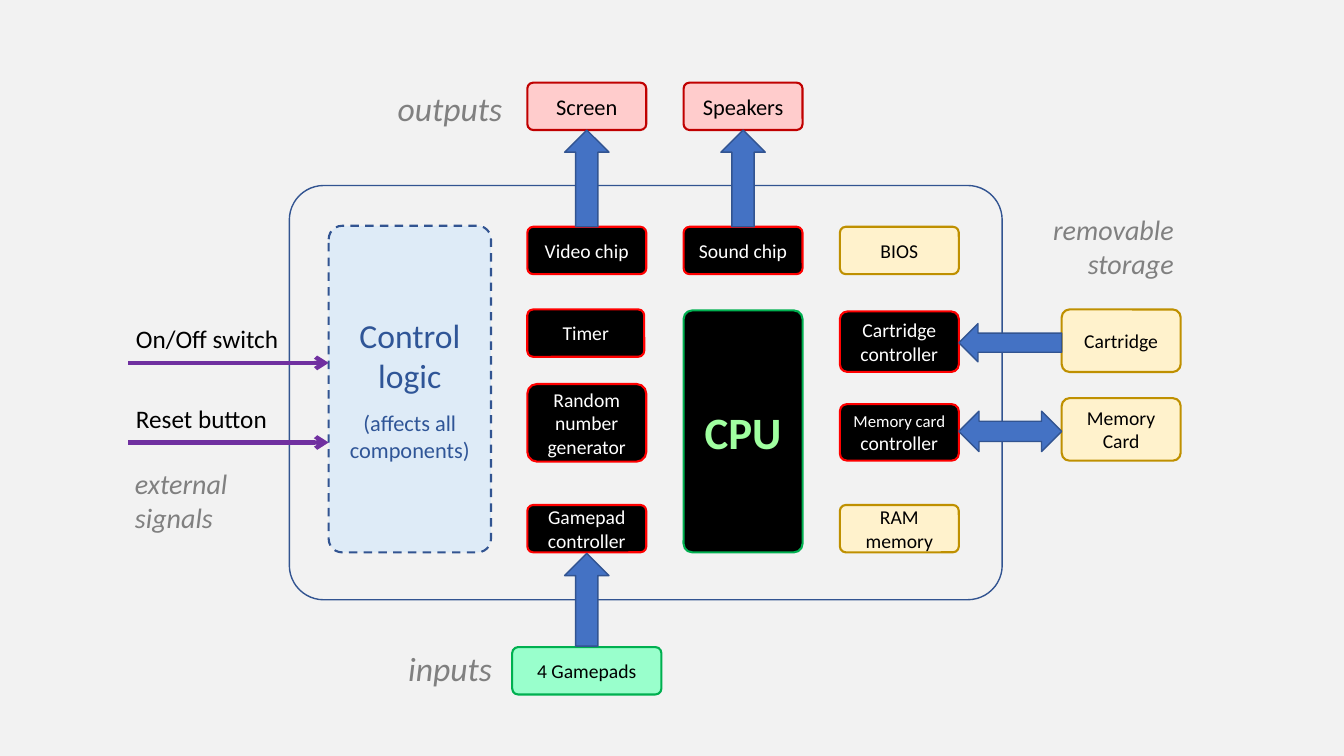
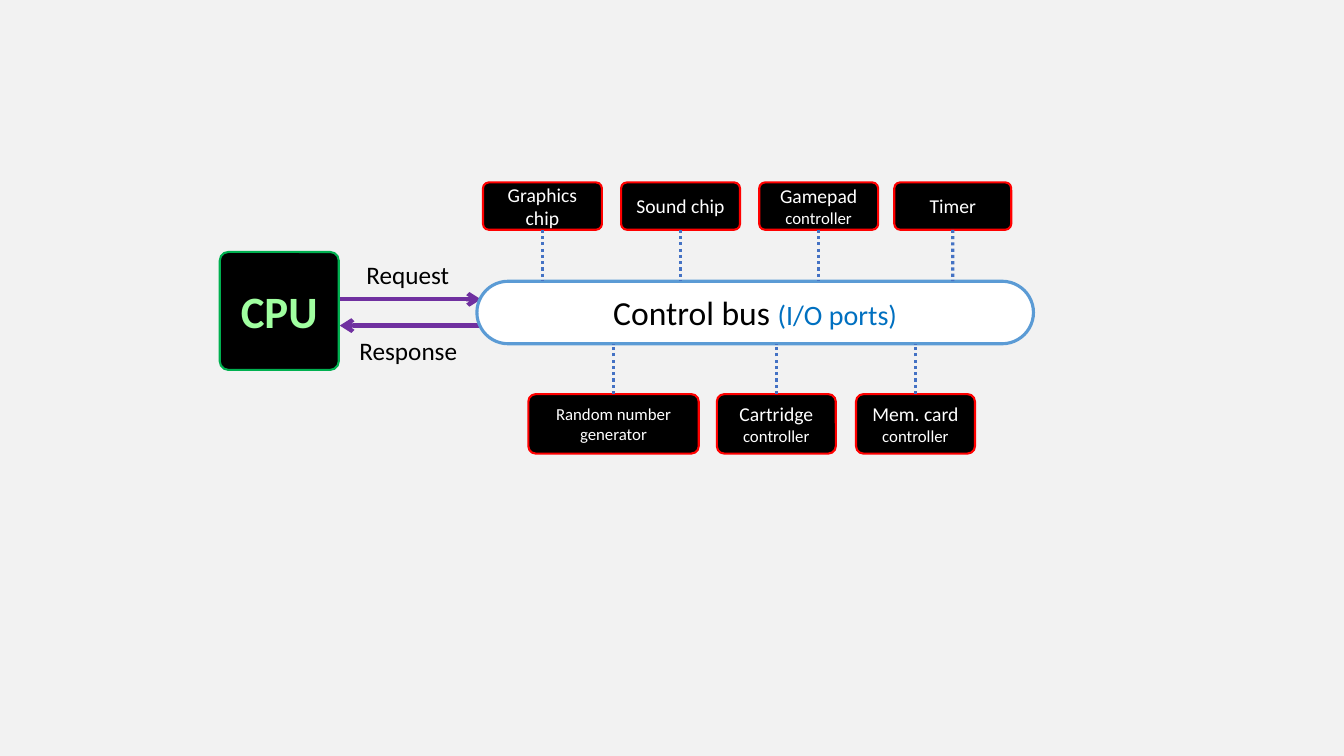
from dataclasses import dataclass
from typing import NamedTuple, Optional

from lxml.etree import SubElement
from pptx import Presentation
from pptx.dml.color import RGBColor
from pptx.enum.dml import MSO_LINE
from pptx.enum.shapes import MSO_CONNECTOR, MSO_SHAPE
from pptx.enum.text import MSO_ANCHOR, MSO_AUTO_SIZE, PP_ALIGN
from pptx.oxml.ns import qn
from pptx.presentation import Presentation as Deck
from pptx.shapes.autoshape import Shape
from pptx.shapes.connector import Connector
from pptx.slide import Slide
from pptx.text.text import TextFrame
from pptx.util import Inches, Pt

FONT = "Calibri"
BACKGROUND = RGBColor(0xF2, 0xF2, 0xF2)
BLACK = RGBColor(0x00, 0x00, 0x00)
WHITE = RGBColor(0xFF, 0xFF, 0xFF)
GREY = RGBColor(0x80, 0x80, 0x80)
RED = RGBColor(0xFF, 0x00, 0x00)
DARK_RED = RGBColor(0xC0, 0x00, 0x00)
PINK = RGBColor(0xFF, 0xCC, 0xCC)
CREAM = RGBColor(0xFF, 0xF2, 0xCC)
GOLD = RGBColor(0xBF, 0x90, 0x00)
MINT = RGBColor(0x99, 0xFF, 0xCC)
GREEN = RGBColor(0x00, 0xB0, 0x50)
LIGHT_GREEN = RGBColor(0xA0, 0xFF, 0xA0)
PALE_BLUE = RGBColor(0xDE, 0xEB, 0xF7)
BLUE = RGBColor(0x44, 0x72, 0xC4)
NAVY = RGBColor(0x32, 0x54, 0x91)
CONTROL_BLUE = RGBColor(0x2F, 0x55, 0x97)
BUS_BLUE = RGBColor(0x5B, 0x9B, 0xD5)
PORT_BLUE = RGBColor(0x00, 0x70, 0xC0)
PURPLE = RGBColor(0x70, 0x30, 0xA0)

BOX_WIDTH, BOX_HEIGHT = 1.18, 0.47


class Style(NamedTuple):
    fill: Optional[RGBColor]
    line: RGBColor
    text: RGBColor
    line_width: float = 1.5
    dash: Optional[MSO_LINE] = None


class Run(NamedTuple):
    text: str
    size: float = 14
    color: Optional[RGBColor] = None


CHIP = Style(BLACK, RED, WHITE)
PROCESSOR = Style(BLACK, GREEN, LIGHT_GREEN)
STORAGE = Style(CREAM, GOLD, BLACK)
OUTPUT = Style(PINK, DARK_RED, BLACK)
INPUT = Style(MINT, GREEN, BLACK)
CONSOLE = Style(None, NAVY, BLACK, 1)
CONTROL = Style(PALE_BLUE, NAVY, CONTROL_BLUE, dash=MSO_LINE.DASH)
FLOW = Style(BLUE, NAVY, WHITE, 1)
BUS = Style(WHITE, BUS_BLUE, BLACK, 2.25)


@dataclass(frozen=True)
class Block:
    left: float
    top: float
    style: Style
    paragraphs: tuple[tuple[Run, ...], ...] = ()
    width: float = BOX_WIDTH
    height: float = BOX_HEIGHT
    radius: float = 0.125
    bold: bool = False
    gap: float = 0


@dataclass(frozen=True)
class Label:
    left: float
    top: float
    width: float
    height: float
    lines: tuple[str, ...]
    size: float = 18
    color: RGBColor = BLACK
    italic: bool = False
    align: PP_ALIGN = PP_ALIGN.LEFT


@dataclass(frozen=True)
class Flow:
    kind: MSO_SHAPE
    left: float
    top: float
    width: float
    height: float


def write(frame: TextFrame, paragraphs: tuple[tuple[Run, ...], ...], color: RGBColor,
          align: PP_ALIGN, bold: bool = False, italic: bool = False, gap: float = 0) -> None:
    frame.word_wrap = True
    frame.vertical_anchor = MSO_ANCHOR.MIDDLE
    for index, runs in enumerate(paragraphs):
        paragraph = frame.add_paragraph() if index else frame.paragraphs[0]
        paragraph.alignment = align
        if index and gap:
            paragraph.space_before = Pt(gap)
        font = paragraph.font
        font.name, font.bold, font.italic = FONT, bold, italic
        font.size = Pt(runs[0].size)
        font.color.rgb = color
        for part in runs:
            run = paragraph.add_run()
            run.text = part.text
            if part.size != runs[0].size:
                run.font.size = Pt(part.size)
            if part.color is not None:
                run.font.color.rgb = part.color


def add_styled(slide: Slide, kind: MSO_SHAPE, left: float, top: float,
               width: float, height: float, style: Style) -> Shape:
    shape = slide.shapes.add_shape(
        kind, Inches(left), Inches(top), Inches(width), Inches(height))
    shape.shadow.inherit = False
    if style.fill is None:
        shape.fill.background()
    else:
        shape.fill.solid()
        shape.fill.fore_color.rgb = style.fill
    shape.line.color.rgb = style.line
    shape.line.width = Pt(style.line_width)
    if style.dash is not None:
        shape.line.dash_style = style.dash
    return shape


def add_block(slide: Slide, block: Block) -> Shape:
    shape = add_styled(slide, MSO_SHAPE.ROUNDED_RECTANGLE, block.left, block.top,
                       block.width, block.height, block.style)
    shape.adjustments[0] = block.radius
    write(shape.text_frame, block.paragraphs, block.style.text,
          PP_ALIGN.CENTER, bold=block.bold, gap=block.gap)
    return shape


def add_label(slide: Slide, label: Label) -> None:
    box = slide.shapes.add_textbox(Inches(label.left), Inches(label.top),
                                   Inches(label.width), Inches(label.height))
    write(box.text_frame, tuple((Run(line, label.size),) for line in label.lines),
          label.color, label.align, italic=label.italic)
    box.text_frame.auto_size = MSO_AUTO_SIZE.SHAPE_TO_FIT_TEXT


def add_line(slide: Slide, start: tuple[float, float], end: tuple[float, float],
             color: RGBColor, width: float) -> Connector:
    line = slide.shapes.add_connector(
        MSO_CONNECTOR.STRAIGHT, *(Inches(value) for value in start + end))
    line.line.color.rgb = color
    line.line.width = Pt(width)
    SubElement(line._element.spPr, qn("a:effectLst"))
    return line


def add_signal(slide: Slide, start: tuple[float, float], end: tuple[float, float]) -> None:
    signal = add_line(slide, start, end, PURPLE, 3)
    SubElement(signal.line._get_or_add_ln(), qn("a:tailEnd"), type="arrow")


def one(text: str, size: float = 14) -> tuple[tuple[Run, ...], ...]:
    return ((Run(text, size),),)


def two_sizes(first: str, first_size: float, second: str,
              second_size: float) -> tuple[tuple[Run, ...], ...]:
    return ((Run(first + " ", first_size), Run(second, second_size)),)


def cpu(left: float, top: float, height: float) -> Block:
    return Block(left, top, PROCESSOR, one("CPU", 32), height=height, radius=0.073, bold=True)


def build_console(deck: Deck) -> None:
    slide = deck.slides.add_slide(deck.slide_layouts[6])
    video, sound, memory = (5.23 + 1.55 * column for column in range(3))
    removable = 10.53
    chip_row, bottom_row = 2.25, 5.01

    # Console outline and its components
    control_text = ((Run("Control logic", 24),), (Run("(affects all components)", 16),))
    for block in (
        Block(2.87, 1.84, CONSOLE, width=7.07, height=4.11, radius=0.083),
        Block(3.26, 2.24, CONTROL, control_text, 1.61, 3.24, 0.083, gap=10),
        Block(video, chip_row, CHIP, one("Video chip")),
        Block(video, 3.07, CHIP, one("Timer"), width=1.16),
        Block(video, 3.81, CHIP, one("Random number generator"), height=0.77),
        Block(video, bottom_row, CHIP, one("Gamepad controller")),
        Block(sound, chip_row, CHIP, one("Sound chip")),
        cpu(sound, 3.08, 2.4),
        Block(memory, chip_row, STORAGE, one("BIOS")),
        Block(memory, 3.09, CHIP, one("Cartridge controller"), height=0.6),
        Block(memory, 4.01, CHIP, two_sizes("Memory card", 12, "controller", 14), height=0.56),
        Block(memory, bottom_row, STORAGE, one("RAM memory")),
        # Devices outside the console
        Block(video, 0.82, OUTPUT, one("Screen", 16)),
        Block(sound, 0.82, OUTPUT, one("Speakers", 16)),
        Block(removable, 3.07, STORAGE, one("Cartridge"), height=0.62),
        Block(removable, 3.95, STORAGE, one("Memory Card"), height=0.62),
        Block(5.08, 6.42, INPUT, one("4 Gamepads"), width=1.48),
    ):
        add_block(slide, block)

    # Data flow arrows
    shaft = 0.44
    inset = (BOX_WIDTH - shaft) / 2
    bridge = memory + BOX_WIDTH
    for flow in (
        Flow(MSO_SHAPE.UP_ARROW, video + inset, 1.29, shaft, 0.96),
        Flow(MSO_SHAPE.UP_ARROW, sound + inset, 1.29, shaft, 0.96),
        Flow(MSO_SHAPE.UP_ARROW, video + inset, 5.49, shaft, 0.92),
        Flow(MSO_SHAPE.LEFT_ARROW, bridge, 3.21, removable - bridge, 0.38),
        Flow(MSO_SHAPE.LEFT_RIGHT_ARROW, bridge, 4.08, removable - bridge, 0.4),
    ):
        add_styled(slide, flow.kind, flow.left, flow.top, flow.width, flow.height, FLOW)

    # Signal names and group captions
    for label in (
        Label(1.25, 3.16, 1.93, 0.4, ("On/Off switch",)),
        Label(1.25, 3.95, 1.93, 0.4, ("Reset button",)),
        Label(3.95, 6.38, 1.16, 0.5, ("inputs",), 24, GREY, True),
        Label(3.65, 0.82, 1.43, 0.5, ("outputs",), 24, GREY, True, PP_ALIGN.RIGHT),
        Label(1.24, 4.58, 2.15, 0.77, ("external", "signals"), 20, GREY, True),
        Label(10.11, 2.06, 1.63, 0.77, ("removable storage",), 20, GREY, True, PP_ALIGN.RIGHT),
    ):
        add_label(slide, label)
    for signal_y in (3.6, 4.39):
        add_signal(slide, (1.27, signal_y), (3.26, signal_y))


def build_control_bus(deck: Deck) -> None:
    slide = deck.slides.add_slide(deck.slide_layouts[6])
    upper_row, lower_row = 1.81, 3.91
    bus_top, bus_height = 2.79, 0.62

    # Requests and responses between CPU and bus
    add_block(slide, cpu(2.18, 2.5, 1.17))
    add_label(slide, Label(3.45, 2.52, 1.19, 0.4, ("Request",), align=PP_ALIGN.CENTER))
    add_label(slide, Label(3.38, 3.28, 1.34, 0.4, ("Response",), align=PP_ALIGN.CENTER))
    add_signal(slide, (3.37, 2.97), (4.77, 2.97))
    add_signal(slide, (4.76, 3.23), (3.37, 3.23))

    # Bus
    bus_text = ((Run("Control bus ", 24), Run("(I/O ports)", 20, PORT_BLUE)),)
    add_block(slide, Block(4.73, bus_top, BUS, bus_text, 5.52, bus_height, 0.5))

    # Devices and their links to the bus
    for device in (
        Block(4.79, upper_row, CHIP, one("Graphics chip")),
        Block(6.16, upper_row, CHIP, one("Sound chip")),
        Block(7.53, upper_row, CHIP, two_sizes("Gamepad", 14, "controller", 12)),
        Block(8.87, upper_row, CHIP, one("Timer"), width=1.16),
        Block(5.24, lower_row, CHIP, one("Random number generator", 12), 1.69, 0.59),
        Block(7.11, lower_row, CHIP, two_sizes("Cartridge", 14, "controller", 12), height=0.59),
        Block(8.49, lower_row, CHIP, two_sizes("Mem. card", 14, "controller", 12), height=0.59),
    ):
        chip = add_block(slide, device)
        above = device.top < bus_top
        center = device.left + device.width / 2
        edge = device.top + device.height if above else device.top
        bus_edge = bus_top if above else bus_top + bus_height
        link = add_line(slide, (center, edge), (center, bus_edge), BLUE, 2.25)
        link.line.dash_style = MSO_LINE.ROUND_DOT
        link.begin_connect(chip, 2 if above else 0)


def main() -> None:
    deck = Presentation()
    deck.slide_width, deck.slide_height = Inches(13.33), Inches(7.5)
    backdrop = deck.slide_master.background.fill
    backdrop.solid()
    backdrop.fore_color.rgb = BACKGROUND
    build_console(deck)
    build_control_bus(deck)
    deck.save("out.pptx")


if __name__ == "__main__":
    main()
